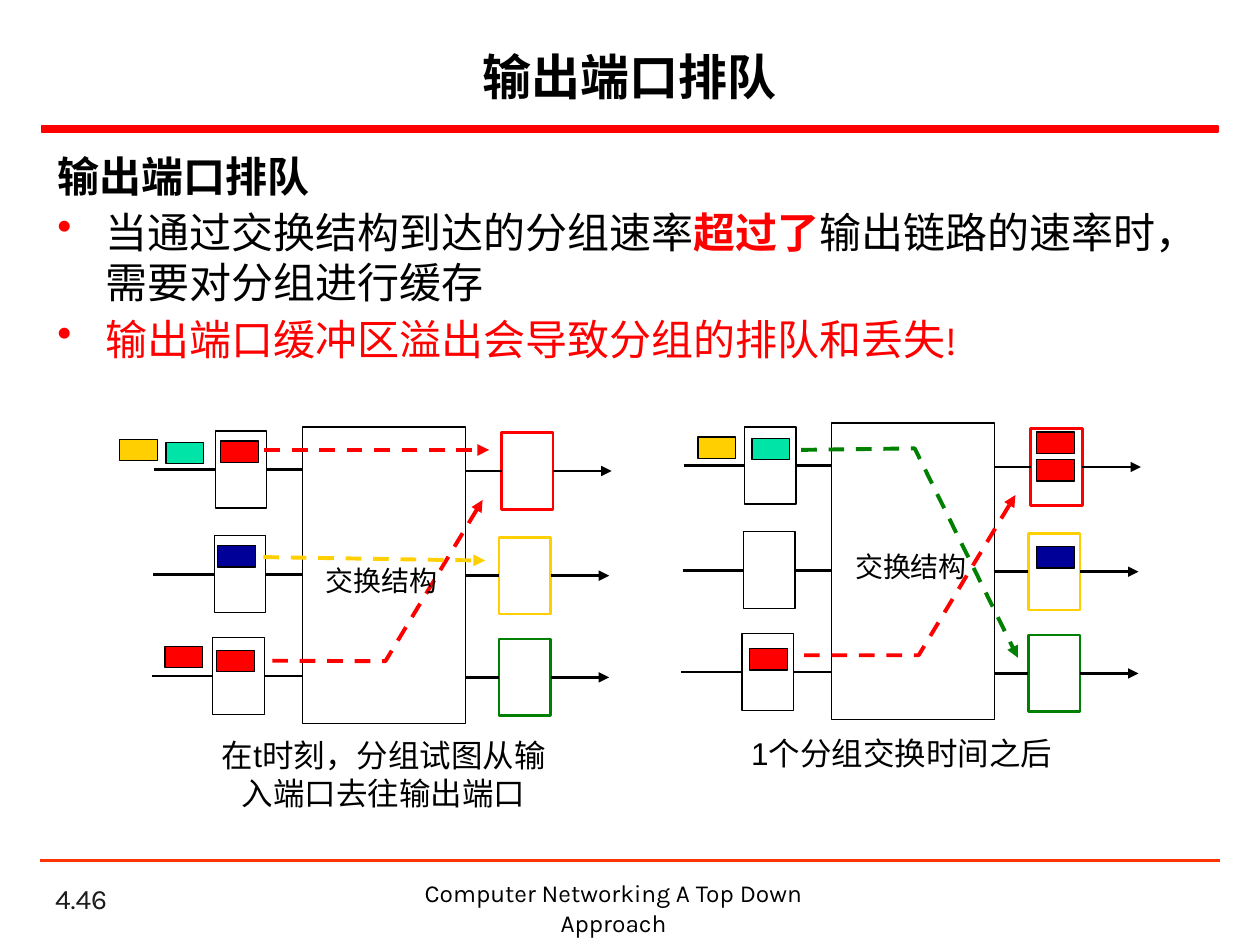
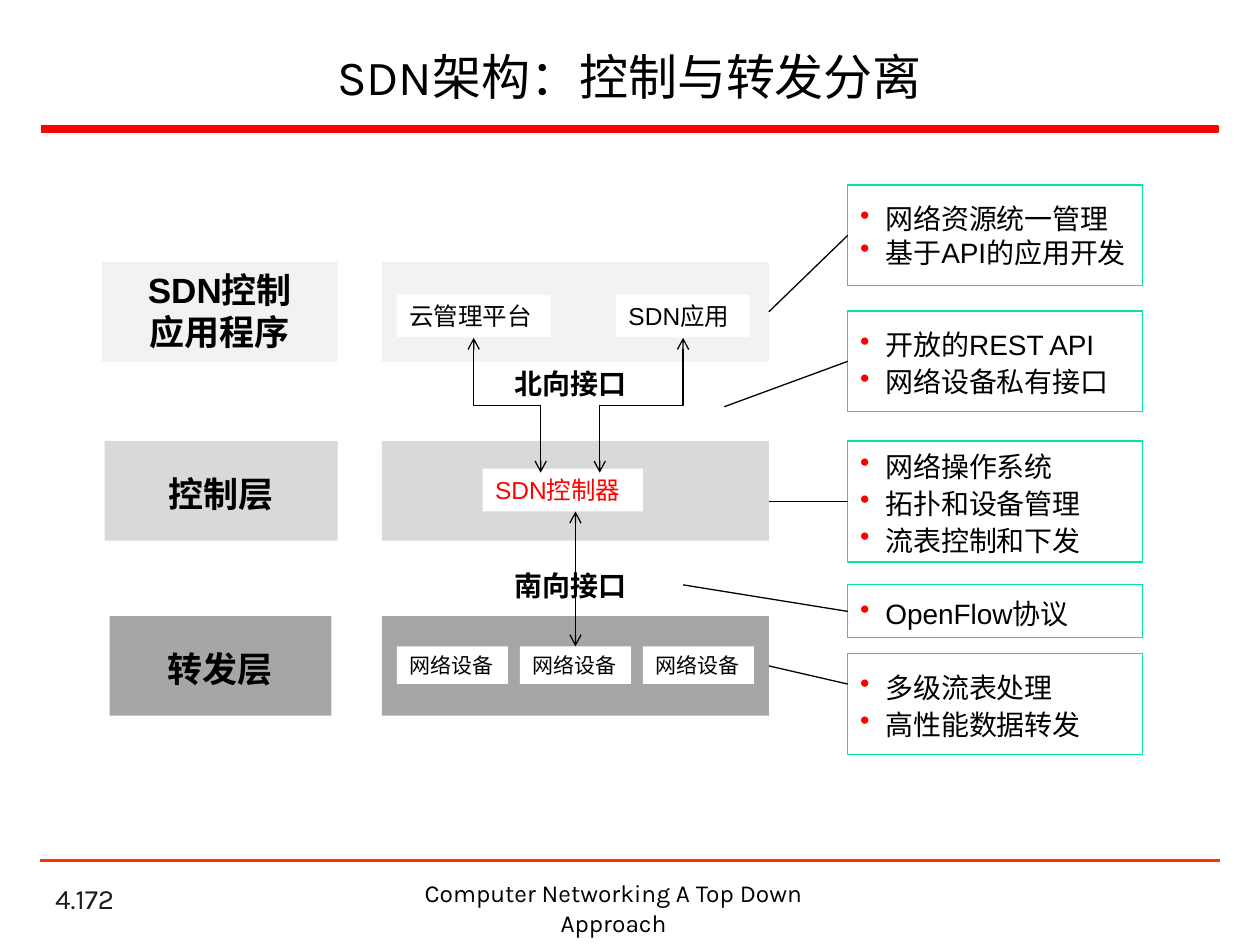
"""Builds two networking slides: output port queueing and the layers of SDN."""
import collections
import dataclasses

import pptx
import pptx.dml.color
import pptx.enum.dml
import pptx.enum.shapes
import pptx.enum.text
import pptx.oxml.ns
import pptx.util
from lxml import etree

Cm = pptx.util.Cm
Pt = pptx.util.Pt
ALIGN = pptx.enum.text.PP_ALIGN
ANCHOR = pptx.enum.text.MSO_ANCHOR
CONNECTOR = pptx.enum.shapes.MSO_CONNECTOR
TOP, LEFT, BOTTOM, RIGHT = range(4)

Joint = collections.namedtuple("Joint", "shape side")
Run = collections.namedtuple("Run", "text color bold")


@dataclasses.dataclass(frozen=True)
class Theme:
    """Colours, fonts and type sizes of the deck."""
    black: str = "000000"
    white: str = "FFFFFF"
    red: str = "FF0000"
    yellow: str = "FFCF01"
    green: str = "008000"
    teal: str = "00E4A8"
    navy: str = "000099"
    rule: str = "FF3300"
    number: str = "1C1C1C"
    layers: tuple = ("F2F2F2", "D9D9D9", "A6A6A6")
    heading_font: str = "Karla"
    text_font: str = "Arial"
    cjk_font: str = "Noto Sans CJK SC"
    accent_font: str = "Comic Neue"
    title: int = 28
    body: int = 24
    layer: int = 20
    caption: int = 18
    label: int = 16
    small: int = 14
    tiny: int = 12
    thin: float = 0.75
    medium: float = 1.5
    thick: float = 2.25


T = Theme()


def rgb(color):
    """Return the colour object for a hex string."""
    return pptx.dml.color.RGBColor.from_string(color)


def add_child(parent, tag, **attributes):
    """Append a DrawingML element to a parent."""
    child = etree.SubElement(parent, pptx.oxml.ns.qn(tag))
    for name, value in attributes.items():
        child.set(name, value)
    return child


def stroke(sp, color, width, dash=False, head=None, tail=None):
    """Set colour, width, dash and arrowheads of an outline."""
    sp.line.color.rgb = rgb(color)
    sp.line.width = Pt(width)
    if dash:
        sp.line.dash_style = pptx.enum.dml.MSO_LINE.DASH
    ln = sp.line._get_or_add_ln()
    for tag, kind in (("a:headEnd", head), ("a:tailEnd", tail)):
        if kind:
            add_child(ln, tag, type=kind)


def rect(slide, x, y, w, h, fill, line=None, width=T.thin):
    """Add a filled rectangle, measured in centimetres."""
    kind = pptx.enum.shapes.MSO_SHAPE.RECTANGLE
    sp = slide.shapes.add_shape(kind, Cm(x), Cm(y), Cm(w), Cm(h))
    sp.shadow.inherit = False
    sp.fill.solid()
    sp.fill.fore_color.rgb = rgb(fill)
    if line:
        stroke(sp, line, width)
    else:
        sp.line.fill.background()
    return sp


def bullet(p, indent):
    """Give a paragraph a red bullet with a hanging indent."""
    pPr = p._p.get_or_add_pPr()
    pPr.set("marL", str(Cm(indent)))
    pPr.set("indent", str(-Cm(indent)))
    add_child(add_child(pPr, "a:buClr"), "a:srgbClr", val=T.red)
    add_child(pPr, "a:buChar", char="•")


def write(sp, paragraphs, size, font=T.text_font, color=T.black, bold=False,
          align=ALIGN.LEFT, anchor=ANCHOR.TOP, wrap=True, spacing=None,
          indent=None, plain=0, before=0):
    """Fill a shape with paragraphs; those after the plain ones may be bulleted."""
    tf = sp.text_frame
    tf.word_wrap = wrap
    tf.vertical_anchor = anchor
    for i, runs in enumerate(paragraphs):
        p = tf.paragraphs[0] if i == 0 else tf.add_paragraph()
        p.alignment = align
        if indent and i >= plain:
            bullet(p, indent)
        if spacing:
            p.line_spacing = spacing
        if before and i:
            p.space_before = Pt(before)
        if isinstance(runs, str):
            runs = [Run(runs, color, bold)]
        for run in runs:
            r = p.add_run()
            r.text = run.text
            r.font.size = Pt(size)
            r.font.name = font
            r.font.bold = run.bold
            r.font.color.rgb = rgb(run.color)


def text(slide, x, y, w, h, paragraphs, size, **style):
    """Add a text box."""
    sp = slide.shapes.add_textbox(Cm(x), Cm(y), Cm(w), Cm(h))
    write(sp, paragraphs, size, **style)


def finish(cxn, color, width, **ends):
    """Style a connector and remove its shadow."""
    stroke(cxn, color, width, **ends)
    add_child(cxn._element.spPr, "a:effectLst")


def line(slide, start, end, color=T.black, width=T.thin, **ends):
    """Draw a straight connector between points or joints."""
    points = [(0, 0) if isinstance(e, Joint) else e for e in (start, end)]
    lengths = [Cm(v) for point in points for v in point]
    cxn = slide.shapes.add_connector(CONNECTOR.STRAIGHT, *lengths)
    if isinstance(start, Joint):
        cxn.begin_connect(start.shape, start.side)
    if isinstance(end, Joint):
        cxn.end_connect(end.shape, end.side)
    finish(cxn, color, width, **ends)


def elbow(slide, x1, y1, x2, y2):
    """Draw a double arrow that leaves and arrives vertically."""
    cx, cy = (x1 + x2) / 2, (y1 + y2) / 2
    half_run, half_rise = (y2 - y1) / 2, abs(x2 - x1) / 2
    sign, turn = (1, 270) if x2 > x1 else (-1, 90)
    cxn = slide.shapes.add_connector(
        CONNECTOR.ELBOW, Cm(cx + sign * half_run), Cm(cy - half_rise),
        Cm(cx - sign * half_run), Cm(cy + half_rise))
    cxn._element.spPr.find(pptx.oxml.ns.qn("a:xfrm")).set("rot", str(turn * 60000))
    finish(cxn, T.black, T.thin, head="arrow", tail="arrow")


def route(slide, color, *points):
    """Draw the dashed arrow that a packet follows."""
    style = dict(dash=True, tail="triangle")
    if len(points) == 2:
        line(slide, *points, color=color, width=T.thick, **style)
        return
    start, *rest = [(Cm(x), Cm(y)) for x, y in points]
    builder = slide.shapes.build_freeform(*start)
    builder.add_line_segments(rest, close=False)
    sp = builder.convert_to_shape()
    sp.shadow.inherit = False
    sp.fill.background()
    stroke(sp, color, T.thick, **style)


def switch(slide, dx=0, dy=0):
    """Draw a switching fabric with three input and three output ports."""
    core_left, core_w = 6.1 + dx, 3.28
    rect(slide, core_left, 8.61 + dy, core_w, 5.97, T.white, T.black)
    port_w, port_h = 1.04, 1.55
    rows = ((4.34, 10.11, 8.69, T.red), (4.32, 10.06, 10.8, T.yellow),
            (4.29, 10.06, 12.85, T.green))
    for in_x, out_x, y, color in rows:
        in_x, out_x, y = in_x + dx, out_x + dx, y + dy
        middle = y + port_h / 2
        source = rect(slide, in_x, y, port_w, port_h, T.white, T.black)
        target = rect(slide, out_x, y + 0.03, port_w, port_h, T.white, color, T.medium)
        line(slide, (in_x - 1.23, middle), Joint(source, LEFT), width=T.medium)
        line(slide, Joint(source, RIGHT), (core_left, middle), width=T.medium)
        line(slide, (core_left + core_w, middle + 0.03), Joint(target, LEFT),
             width=T.medium)
        line(slide, Joint(target, RIGHT), (out_x + port_w + 1.18, middle + 0.03),
             width=T.medium, tail="triangle")


def new_slide(prs, title, number, bold=False):
    """Add a slide with its title, rules and footer."""
    slide = prs.slides.add_slide(prs.slide_layouts[6])
    text(slide, 0.86, 17.73, 5.28, 0.84, [number], T.label, font=T.heading_font,
         color=T.number, anchor=ANCHOR.BOTTOM)
    rect(slide, 0.84, 2.54, 23.72, 0.13, T.red, T.red, 1)
    line(slide, (0.81, 17.35), (24.59, 17.35), T.rule, T.medium)
    text(slide, 7.19, 17.58, 10.36, 0.86, ["Computer Networking A Top Down Approach"],
         T.small, font=T.heading_font, align=ALIGN.CENTER)
    text(slide, 0.94, 0.64, 23.5, 1.78, [title], T.title, font=T.heading_font,
         bold=bold, align=ALIGN.CENTER, anchor=ANCHOR.MIDDLE)
    return slide


def queueing_slide(prs):
    """Show how packets queue at an output port."""
    slide = new_slide(prs, "输出端口排队", "4.46", bold=True)
    body = [
        [Run("输出端口排队", T.black, True)],
        [Run("当通过交换结构到达的分组速率", T.black, False),
         Run("超过了", T.red, True),
         Run("输出链路的速率时，需要对分组进行缓存", T.black, False)],
        [Run("输出端口缓冲区溢出会导致分组的排队和丢失!", T.red, False)],
    ]
    text(slide, 0.91, 2.9, 23.57, 14.22, body, T.body, font=T.heading_font,
         indent=0.97, plain=1, before=3.5)
    switch(slide)
    switch(slide, 10.67, -0.08)
    packets = (
        (4.45, 8.89, T.red), (4.39, 11, T.navy), (4.37, 13.11, T.red),
        (3.35, 8.92, T.teal), (3.33, 13.03, T.red), (2.41, 8.86, T.yellow),
        (20.9, 8.71, T.red), (20.9, 11.02, T.navy), (20.9, 9.27, T.red),
        (15.16, 8.84, T.teal), (15.11, 13.08, T.red), (14.07, 8.81, T.yellow))
    for x, y, color in packets:
        rect(slide, x, y, 0.76, 0.43, color, T.black)
    route(slide, T.red, (5.33, 9.07), (9.86, 9.07))
    route(slide, T.red, (5.49, 13.32), (7.77, 13.33), (9.73, 10.08))
    route(slide, T.yellow, (5.31, 11.23), (9.78, 11.3))
    route(slide, T.red, (16.21, 13.21), (18.52, 13.21), (20.47, 9.98))
    route(slide, T.green, (16.15, 9.07), (18.44, 9.04), (20.52, 13.26))
    for x, y in ((6.32, 11.23), (16.99, 10.95)):
        text(slide, x, y, 2.79, 0.94, ["交换结构"], T.label, font=T.cjk_font, wrap=False)
    text(slide, 4.09, 14.71, 7.29, 1.8, ["在t时刻，分组试图从输入端口去往输出端口"],
         T.caption, align=ALIGN.CENTER)
    text(slide, 14.76, 14.68, 6.83, 1.02, ["1个分组交换时间之后"],
         T.caption, align=ALIGN.CENTER)


def sdn_slide(prs):
    """Show the three SDN layers with notes beside them."""
    slide = new_slide(prs, "SDN架构：控制与转发分离", "4.172")
    names = ((2.06, 5.28, 4.75, ["SDN控制", "应用程序"], T.text_font, None),
             (2.11, 8.89, 4.7, ["控制层"], T.text_font, 1.6),
             (2.21, 12.42, 4.47, ["转发层"], T.accent_font, 1.6))
    layers = []
    for (x, y, w, name, font, spacing), fill in zip(names, T.layers):
        sp = rect(slide, x, y, w, 2.01, fill)
        write(sp, name, T.layer, font=font, bold=True, align=ALIGN.CENTER, spacing=spacing)
        layers.append(rect(slide, 7.7, y, 7.8, 2.01, fill))

    parts = [(8, 5.94, 3.1, 0.86, "云管理平台", T.small, T.black),
             (12.42, 5.94, 2.69, 0.86, "SDN应用", T.small, T.black),
             (9.73, 9.45, 3.23, 0.86, "SDN控制器", T.small, T.red)]
    parts += [(8 + 2.48 * i, 13.03, 2.24, 0.76, "网络设备", T.tiny, T.black)
              for i in range(3)]
    boxes = []
    for x, y, w, h, name, size, color in parts:
        boxes.append(rect(slide, x, y, w, h, T.white))
        write(boxes[-1], [name], size, color=color)

    elbow(slide, 9.55, 6.81, 10.9, 9.53)
    elbow(slide, 13.77, 6.81, 12.09, 9.53)
    for y, name in ((7.26, "北向接口"), (11.33, "南向接口")):
        text(slide, 10.13, y, 2.92, 0.94, [name], T.label, bold=True)
    middle_device = boxes[4]
    line(slide, (11.6, 10.31), Joint(middle_device, TOP), head="arrow", tail="arrow")

    notes = (
        (3.73, 2.03, ["网络资源统一管理", "基于API的应用开发"], None,
         Joint(layers[0], RIGHT), None),
        (6.27, 2.03, ["开放的REST API", "网络设备私有接口"], 1.1, (14.6, 8.2), None),
        (8.89, 2.44, ["网络操作系统", "拓扑和设备管理", "流表控制和下发"], 1.1,
         (15.5, 10.11), None),
        (11.79, 1.07, ["OpenFlow协议"], 1.1, (13.77, 11.79), None),
        (13.18, 2.03, ["多级流表处理", "高性能数据转发"], 1.1,
         Joint(layers[2], RIGHT), (17.09, 13.79)))
    for y, h, items, spacing, start, end in notes:
        sp = rect(slide, 17.09, y, 5.94, h, T.white, T.teal)
        write(sp, items, T.label, anchor=ANCHOR.MIDDLE, spacing=spacing, indent=0.51)
        line(slide, start, end or Joint(sp, LEFT))


def main():
    """Build and save the deck."""
    prs = pptx.Presentation()
    prs.slide_width, prs.slide_height = Cm(25.4), Cm(19.05)
    queueing_slide(prs)
    sdn_slide(prs)
    prs.save("out.pptx")


if __name__ == "__main__":
    main()
